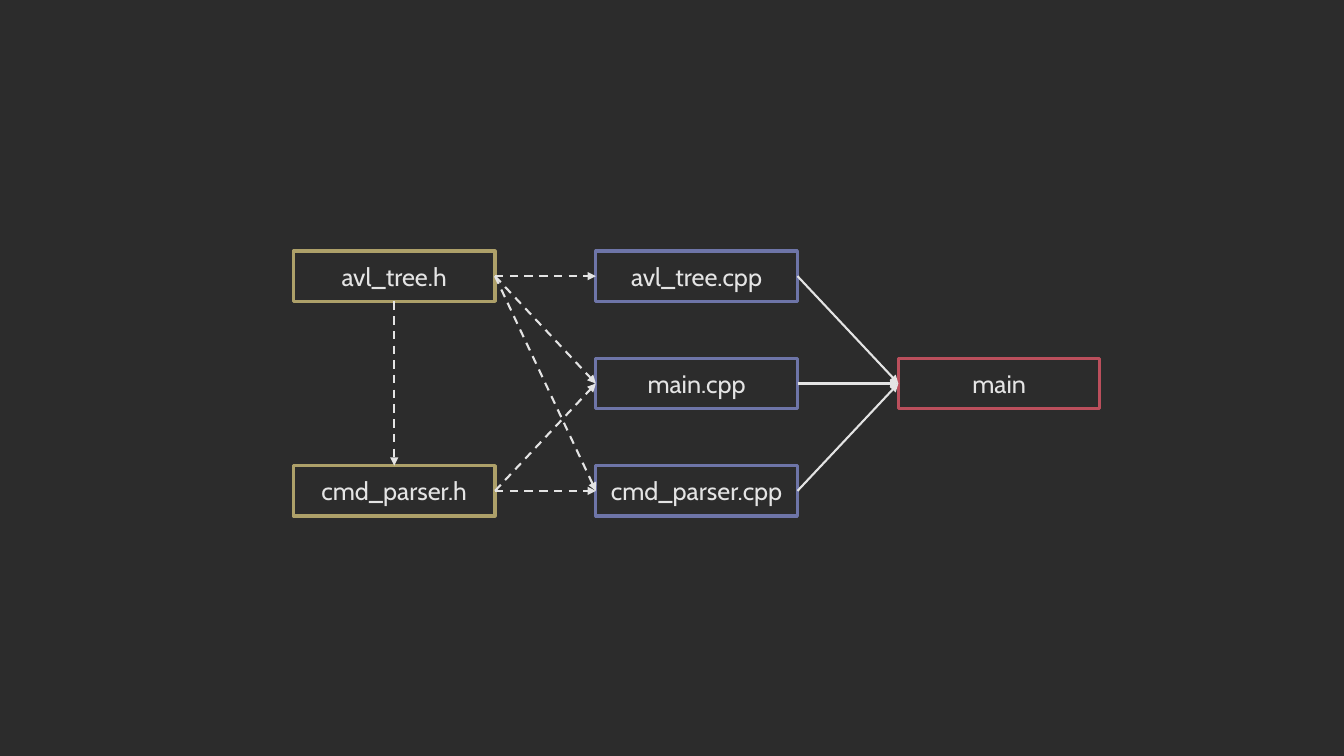
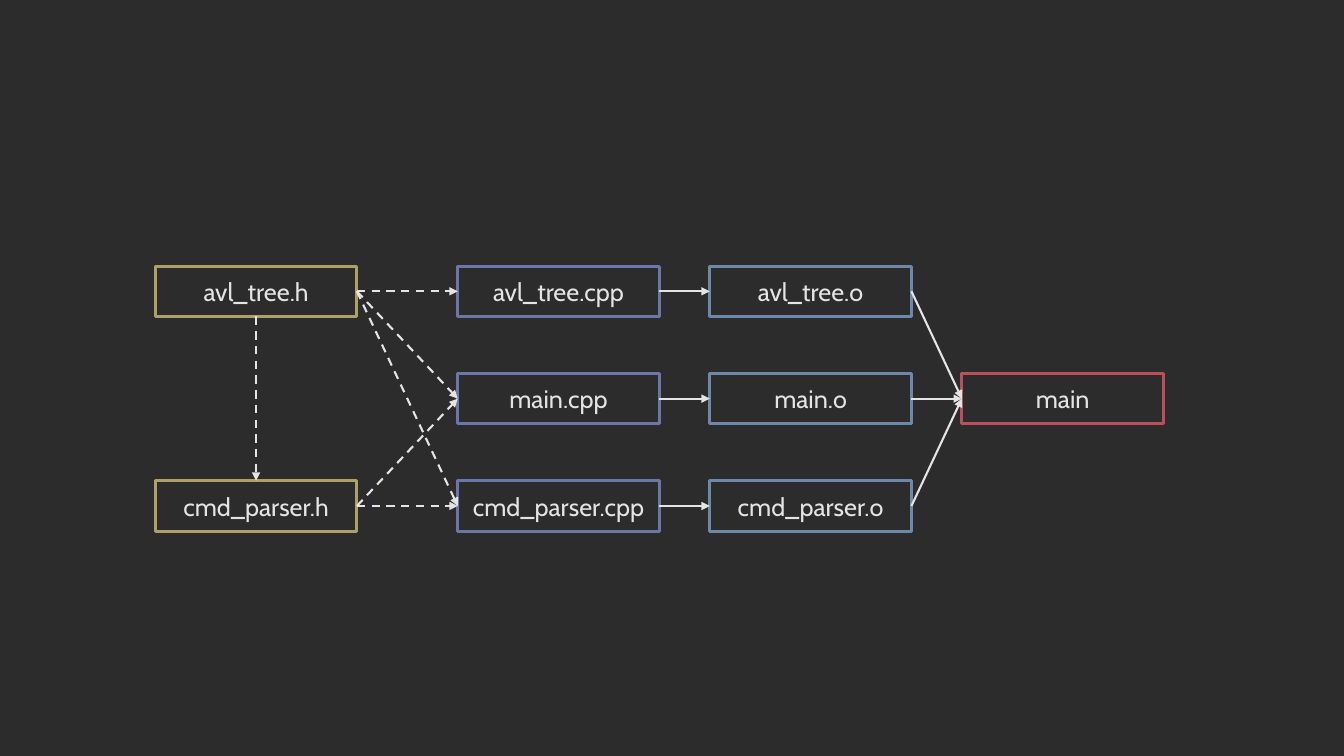
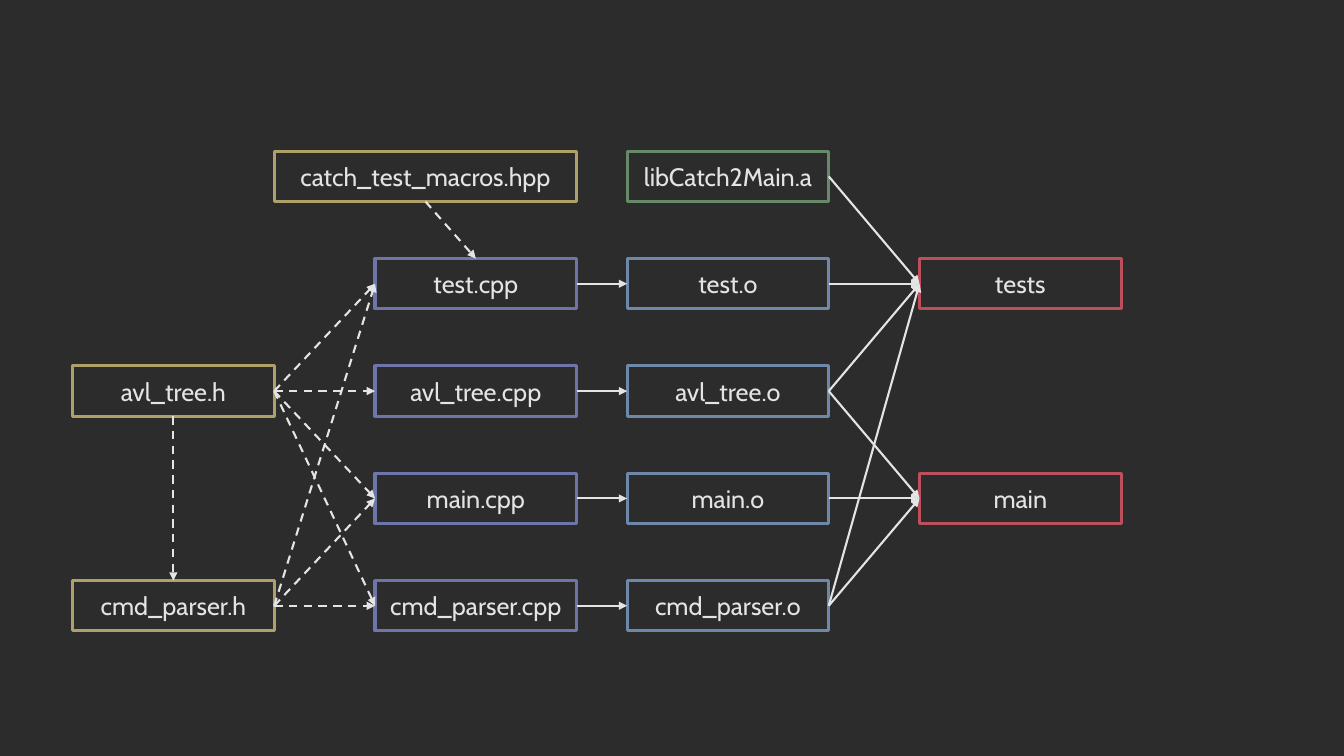
from typing import NamedTuple

from lxml import etree
from pptx import Presentation
from pptx import util as u
from pptx.dml.color import RGBColor
from pptx.enum import dml, shapes, text
from pptx.oxml.ns import qn

BACKGROUND, LIGHT = "2C2C2C", "E4E4E4"
HEADER, SOURCE, OBJECT, LIBRARY, TARGET = "ADA069", "6E75A8", "6D88A8", "668A68", "BB4F5C"
BOX_HEIGHT = 0.5
ROW_PITCH = 2.13 / 2
TOP, LEFT, BOTTOM, RIGHT = range(4)


class Box(NamedTuple):
    name: str
    left: float
    row: int
    color: str
    width: float = 2


class Arrow(NamedTuple):
    start: str
    end: str
    dashed: bool = False
    start_side: int = RIGHT
    end_side: int = LEFT


class Diagram(NamedTuple):
    top: float
    boxes: list[Box]
    arrows: list[Arrow]


def rgb(color: str) -> RGBColor:
    return RGBColor.from_string(color)


def write(sp, words: str, *, size: float = 18, font: str = "Cabin", color: str = LIGHT) -> None:
    tf = sp.text_frame
    tf.word_wrap = True
    tf.vertical_anchor = text.MSO_ANCHOR.MIDDLE
    p = tf.paragraphs[0]
    p.alignment = text.PP_ALIGN.CENTER
    r = p.add_run()
    r.text = words
    r.font.size = u.Pt(size)
    r.font.name = font
    r.font.color.rgb = rgb(color)


def draw_box(s, box: Box, top: float):
    sp = s.shapes.add_shape(
        shapes.MSO_SHAPE.RECTANGLE,
        u.Inches(box.left), u.Inches(top + box.row * ROW_PITCH),
        u.Inches(box.width), u.Inches(BOX_HEIGHT),
    )
    sp.shadow.inherit = False
    sp.fill.background()
    sp.line.color.rgb = rgb(box.color)
    sp.line.width = u.Pt(2.25)
    write(sp, box.name)
    return sp


def draw_arrow(s, arrow: Arrow, drawn: dict) -> None:
    c = s.shapes.add_connector(shapes.MSO_CONNECTOR.STRAIGHT, 0, 0, 0, 0)
    c.begin_connect(drawn[arrow.start], arrow.start_side)
    c.end_connect(drawn[arrow.end], arrow.end_side)
    c.line.color.rgb = rgb(LIGHT)
    c.line.width = u.Pt(1.5)
    if arrow.dashed:
        c.line.dash_style = dml.MSO_LINE.DASH
    sppr = c.element.spPr
    etree.SubElement(sppr.find(qn("a:ln")), qn("a:tailEnd"), type="triangle")
    etree.SubElement(sppr, qn("a:effectLst"))


def draw_diagram(prs, diagram: Diagram) -> None:
    s = prs.slides.add_slide(prs.slide_layouts[6])
    drawn = {box.name: draw_box(s, box, diagram.top) for box in diagram.boxes}
    for arrow in diagram.arrows:
        draw_arrow(s, arrow, drawn)


def column(left: float, color: str, suffix: str, row: int, stems: list[str]) -> list[Box]:
    return [Box(stem + suffix, left, row + i, color) for i, stem in enumerate(stems)]


def program(left: float, target_left: float, row: int = 0, objects: bool = True) -> tuple[list[Box], list[Arrow]]:
    """Return the boxes and arrows that build main, from its headers to the executable."""
    stems = ["avl_tree", "main", "cmd_parser"]
    boxes = [
        Box("avl_tree.h", left, row, HEADER),
        Box("cmd_parser.h", left, row + 2, HEADER),
        *column(left + 3, SOURCE, ".cpp", row, stems),
        Box("main", target_left, row + 1, TARGET),
    ]
    arrows = [Arrow("avl_tree.h", f"{stem}.cpp", True) for stem in stems]
    arrows += [Arrow("cmd_parser.h", f"{stem}.cpp", True) for stem in stems[1:]]
    arrows.append(Arrow("avl_tree.h", "cmd_parser.h", True, BOTTOM, TOP))
    if objects:
        boxes += column(left + 5.5, OBJECT, ".o", row, stems)
        arrows += [Arrow(f"{stem}.cpp", f"{stem}.o") for stem in stems]
    last = ".o" if objects else ".cpp"
    arrows += [Arrow(stem + last, "main") for stem in stems]
    return boxes, arrows


def with_tests(left: float, target_left: float) -> tuple[list[Box], list[Arrow]]:
    boxes, arrows = program(left, target_left, row=2)
    boxes += [
        Box("catch_test_macros.hpp", left + 2, 0, HEADER, 3),
        Box("libCatch2Main.a", left + 5.5, 0, LIBRARY),
        Box("test.cpp", left + 3, 1, SOURCE),
        Box("test.o", left + 5.5, 1, OBJECT),
        Box("tests", target_left, 1, TARGET),
    ]
    arrows += [
        Arrow("catch_test_macros.hpp", "test.cpp", True, BOTTOM, TOP),
        Arrow("avl_tree.h", "test.cpp", True),
        Arrow("cmd_parser.h", "test.cpp", True),
        Arrow("test.cpp", "test.o"),
    ]
    inputs = ["libCatch2Main.a", "test.o", "avl_tree.o", "cmd_parser.o"]
    arrows += [Arrow(name, "tests") for name in inputs]
    return boxes, arrows


def main() -> None:
    prs = Presentation()
    prs.slide_width, prs.slide_height = u.Inches(13.33), u.Inches(7.5)
    fill = prs.slide_master.background.fill
    fill.solid()
    fill.fore_color.rgb = rgb(BACKGROUND)
    for diagram in (
        Diagram(2.49, *program(2.91, 8.91, objects=False)),
        Diagram(2.64, *program(1.54, 9.54)),
        Diagram(1.5, *with_tests(0.72, 9.12)),
    ):
        draw_diagram(prs, diagram)
    prs.save("out.pptx")


if __name__ == "__main__":
    main()
